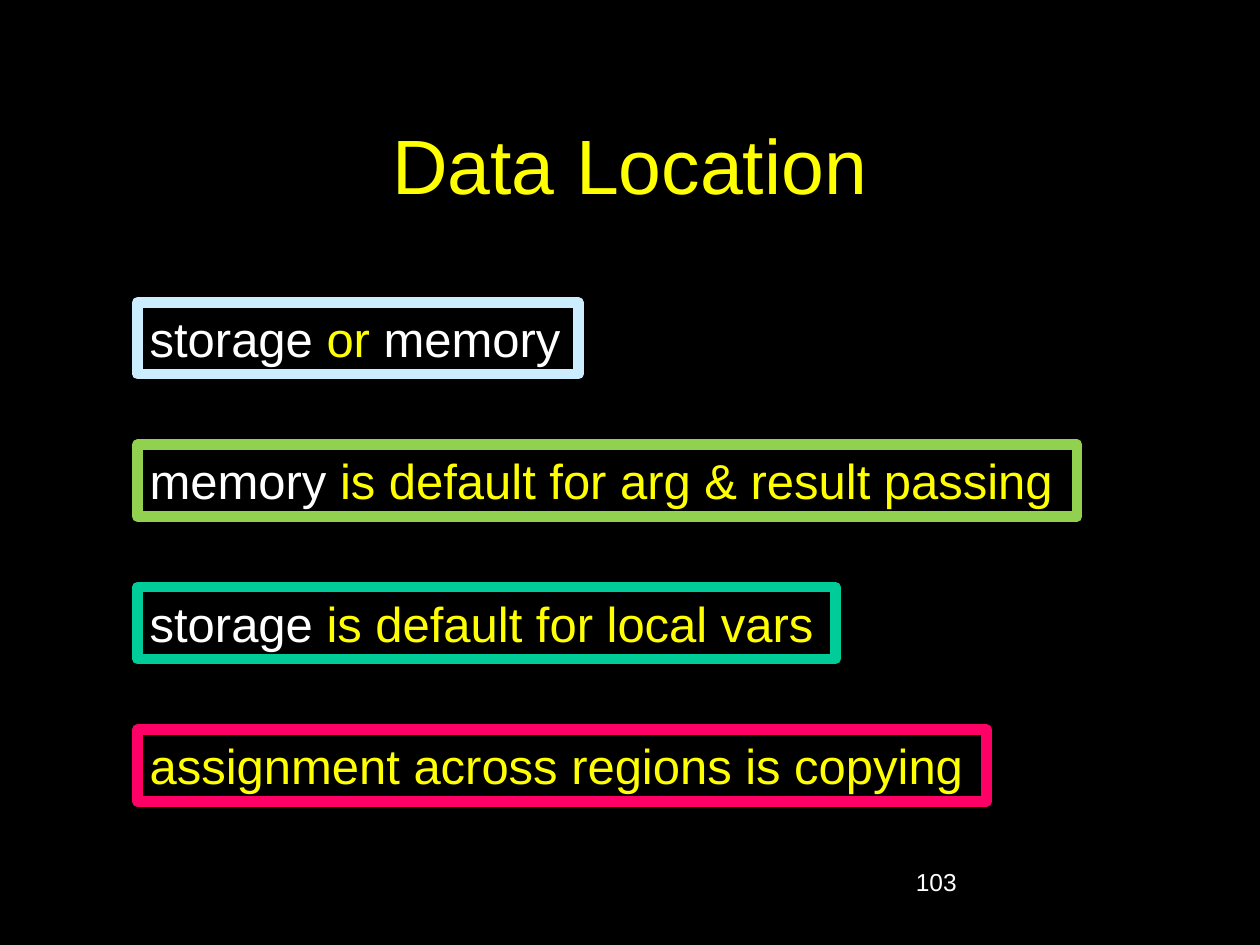
"""Build the Data Location slide with its four outlined rules."""
from dataclasses import dataclass

from pptx import Presentation
from pptx.dml.color import RGBColor
from pptx.enum.shapes import MSO_SHAPE as Shape
from pptx.enum.text import MSO_ANCHOR as Anchor, MSO_AUTO_SIZE as AutoSize, PP_ALIGN as Align
from pptx.util import Inches, Pt


@dataclass(frozen=True)
class Theme:
    font: str = "Arial"
    back: RGBColor = RGBColor(0, 0, 0)
    plain: RGBColor = RGBColor(0xFF, 0xFF, 0xFF)
    accent: RGBColor = RGBColor(0xFF, 0xFF, 0)
    title: int = 44
    body: int = 28
    number: int = 14
    border: int = 6


@dataclass(frozen=True)
class Run:
    text: str
    color: RGBColor


@dataclass(frozen=True)
class Rule:
    width: float
    border: str
    runs: tuple[Run, ...]


THEME = Theme()
LEFT, TOP, HEIGHT, STEP = 1.09, 2.4, 0.57, 1.13
RULES = (
    Rule(3.5, "CCECFF", (Run("storage ", THEME.plain), Run("or ", THEME.accent),
                         Run("memory", THEME.plain))),
    Rule(7.46, "92D050", (Run("memory ", THEME.plain),
                          Run("is default for arg & result passing", THEME.accent))),
    Rule(5.54, "00CC99", (Run("storage ", THEME.plain),
                          Run("is default for local vars", THEME.accent))),
    Rule(6.74, "FF0066", (Run("assignment across regions is copying", THEME.accent),)),
)


def set_attrs(target, values: dict) -> None:
    for name, value in values.items():
        setattr(target, name, value)


def write(sp, runs: tuple[Run, ...], size: int, align: Align = Align.LEFT, **frame) -> None:
    tf = sp.text_frame
    set_attrs(tf, frame)
    p = tf.paragraphs[0]
    p.alignment = align
    for run in runs:
        r = p.add_run()
        r.text = run.text
        set_attrs(r.font, {"name": THEME.font, "size": Pt(size)})
        r.font.color.rgb = run.color


def add_text(s, box: tuple[float, ...], run: Run, size: int, **frame) -> None:
    sp = s.shapes.add_textbox(*map(Inches, box))
    write(sp, (run,), size, word_wrap=True, **frame)


def add_rule(s, rule: Rule, top: float) -> None:
    box = (LEFT, top, rule.width, HEIGHT)
    sp = s.shapes.add_shape(Shape.RECTANGLE, *map(Inches, box))
    sp.shadow.inherit = False
    sp.fill.solid()
    sp.fill.fore_color.rgb = THEME.back
    sp.line.color.rgb = RGBColor.from_string(rule.border)
    sp.line.width = Pt(THEME.border)
    write(sp, rule.runs, THEME.body, word_wrap=False,
          auto_size=AutoSize.SHAPE_TO_FIT_TEXT, vertical_anchor=Anchor.TOP)


def main() -> None:
    prs = Presentation()
    set_attrs(prs, {"slide_width": Inches(10), "slide_height": Inches(7.5)})
    s = prs.slides.add_slide(prs.slide_layouts[6])
    s.background.fill.solid()
    s.background.fill.fore_color.rgb = THEME.back
    add_text(s, (0.75, 0.67, 8.5, 1.25), Run("Data Location", THEME.accent), THEME.title,
             align=Align.CENTER, vertical_anchor=Anchor.MIDDLE)
    add_text(s, (7.17, 6.83, 2.08, 0.5), Run("103", THEME.plain), THEME.number)
    for i, rule in enumerate(RULES):
        add_rule(s, rule, TOP + i * STEP)
    prs.save("out.pptx")


if __name__ == "__main__":
    main()
